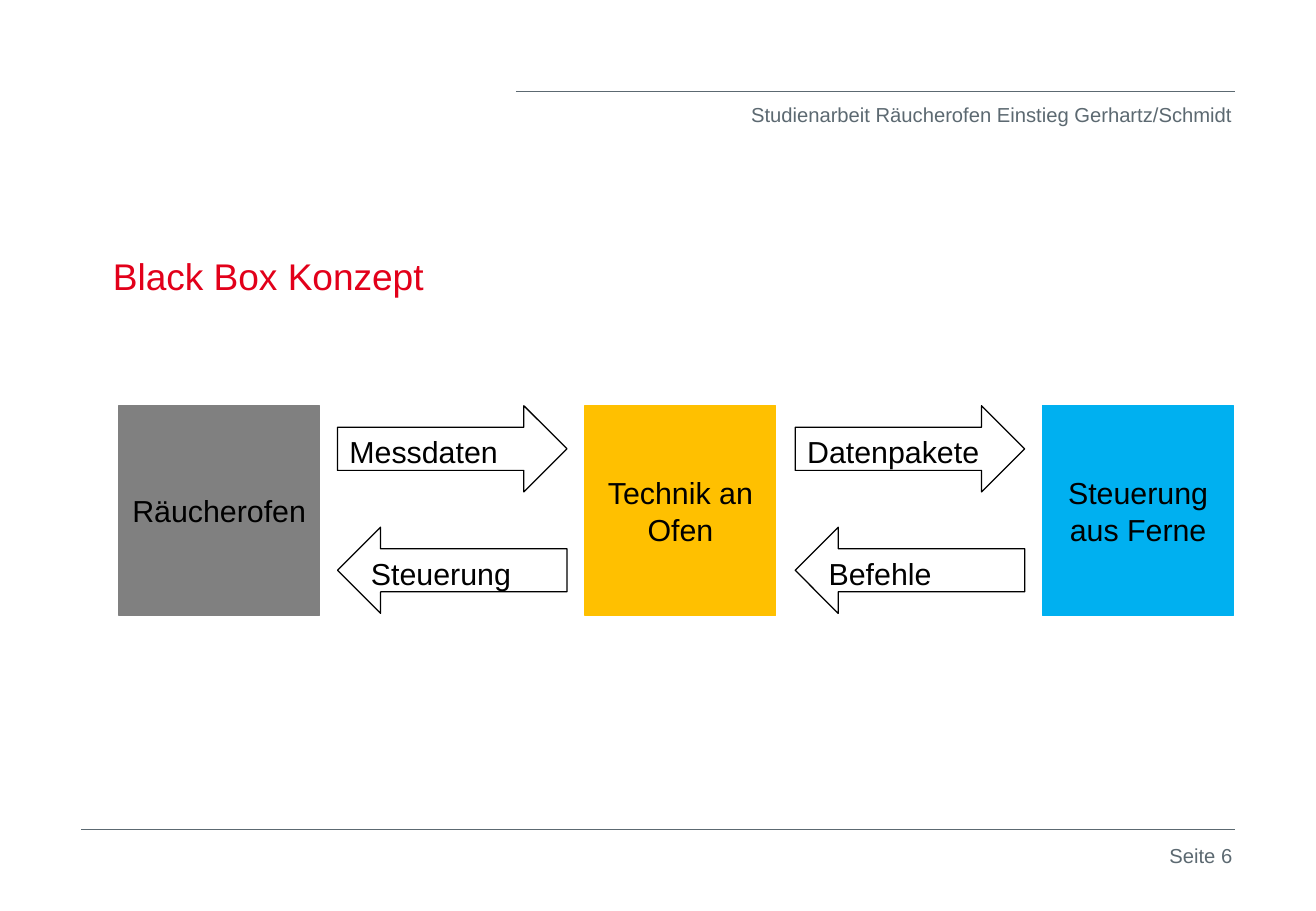
from lxml import etree
from pptx import Presentation
from pptx.dml.color import RGBColor
from pptx.enum.shapes import MSO_CONNECTOR, MSO_SHAPE
from pptx.enum.text import MSO_ANCHOR, MSO_AUTO_SIZE, PP_ALIGN
from pptx.oxml.ns import qn
from pptx.util import Inches, Pt

RECTANGLE = MSO_SHAPE.RECTANGLE
RIGHT_ARROW, LEFT_ARROW = MSO_SHAPE.RIGHT_ARROW, MSO_SHAPE.LEFT_ARROW
STRAIGHT = MSO_CONNECTOR.STRAIGHT
LEFT, CENTER, RIGHT = PP_ALIGN.LEFT, PP_ALIGN.CENTER, PP_ALIGN.RIGHT
TOP, MIDDLE, BOTTOM = MSO_ANCHOR.TOP, MSO_ANCHOR.MIDDLE, MSO_ANCHOR.BOTTOM

THEME = {
    "font": "Arial",
    "title_size": 22, "body_size": 18, "small_size": 12,
    "red": RGBColor.from_string("E2001A"),
    "slate": RGBColor.from_string("5C6971"),
    "black": RGBColor.from_string("000000"),
    "oven": RGBColor.from_string("808080"),
    "technology": RGBColor.from_string("FFC000"),
    "remote": RGBColor.from_string("00B0F0"),
}


def write_text(shape, text, size, color, alignment, anchor, space_before=0):
    frame = shape.text_frame
    frame_format = {"word_wrap": True, "auto_size": MSO_AUTO_SIZE.NONE, "vertical_anchor": anchor}
    for name, value in frame_format.items():
        setattr(frame, name, value)
    frame.text = text
    paragraph = frame.paragraphs[0]
    paragraph.alignment = alignment
    paragraph.space_before = Pt(space_before)
    font = paragraph.runs[0].font
    for name, value in {"name": THEME["font"], "size": Pt(THEME[size])}.items():
        setattr(font, name, value)
    font.color.rgb = THEME[color]


def add_block(kind, left, top, width, height, text, fill, line, alignment, anchor):
    shape = slide.shapes.add_shape(kind, Inches(left), Inches(top), Inches(width), Inches(height))
    shape.shadow.inherit = False
    if fill:
        shape.fill.solid()
        shape.fill.fore_color.rgb = THEME[fill]
    else:
        shape.fill.background()
    shape.line.color.rgb = THEME[line]
    shape.line.width = Pt(0.75)
    write_text(shape, text, "body_size", "black", alignment, anchor, 4.5)


presentation = Presentation()
presentation.slide_width = Inches(10.84)
presentation.slide_height = Inches(7.5)
slide = presentation.slides.add_slide(presentation.slide_layouts[5])

for start, height in [(4.25, 0.75), (0.67, 6.83)]:
    rule = slide.shapes.add_connector(
        STRAIGHT, Inches(start), Inches(height), Inches(10.17), Inches(height))
    rule.line.color.rgb = THEME["slate"]
    rule.line.width = Pt(0.25)
    etree.SubElement(rule.element.spPr, qn("a:effectLst"))

title = slide.shapes.title
title_place = {"left": 0.83, "top": 1.58, "width": 9.33, "height": 0.92}
for name, value in title_place.items():
    setattr(title, name, Inches(value))
write_text(title, "Black Box Konzept", "title_size", "red", LEFT, BOTTOM)

for text, left, top, width in [
    ("Studienarbeit Räucherofen Einstieg Gerhartz/Schmidt", 6, 0.79, 4.25),
    ("Seite 6", 9.25, 6.89, 1),
]:
    box = slide.shapes.add_textbox(Inches(left), Inches(top), Inches(width), Inches(0.5))
    write_text(box, text, "small_size", "slate", RIGHT, TOP)

ROW_TOP = 3.34
for text, left, width, color in [
    ("Räucherofen", 0.98, 1.65, "oven"),
    ("Technik an Ofen", 4.82, 1.57, "technology"),
    ("Steuerung aus Ferne", 8.59, 1.57, "remote"),
]:
    add_block(RECTANGLE, left, ROW_TOP, width, 1.73, text, color, color, CENTER, MIDDLE)

for left, forward, backward in [
    (2.78, "Messdaten", "Steuerung"),
    (6.55, "Datenpakete", "Befehle"),
]:
    for kind, top, text in [(RIGHT_ARROW, ROW_TOP, forward), (LEFT_ARROW, ROW_TOP + 1, backward)]:
        add_block(kind, left, top, 1.89, 0.71, text, None, "black", LEFT, TOP)

presentation.save("out.pptx")
